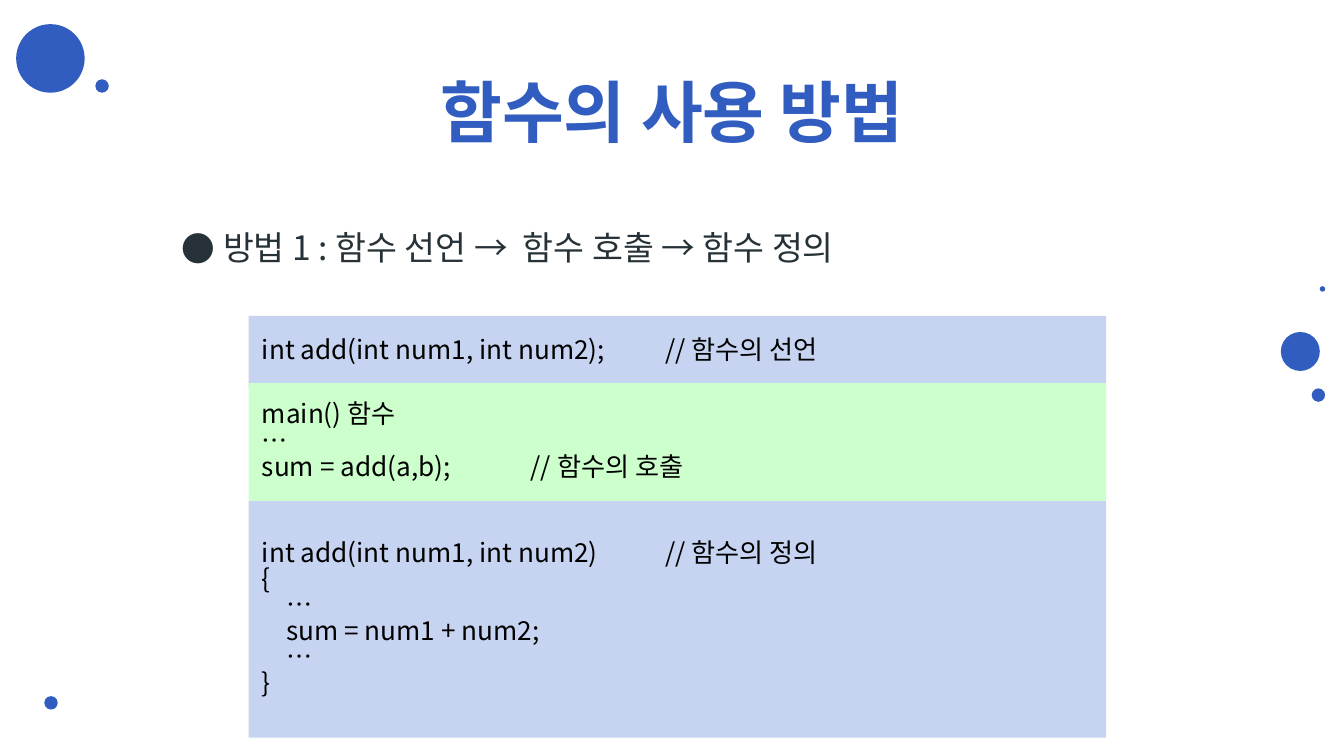
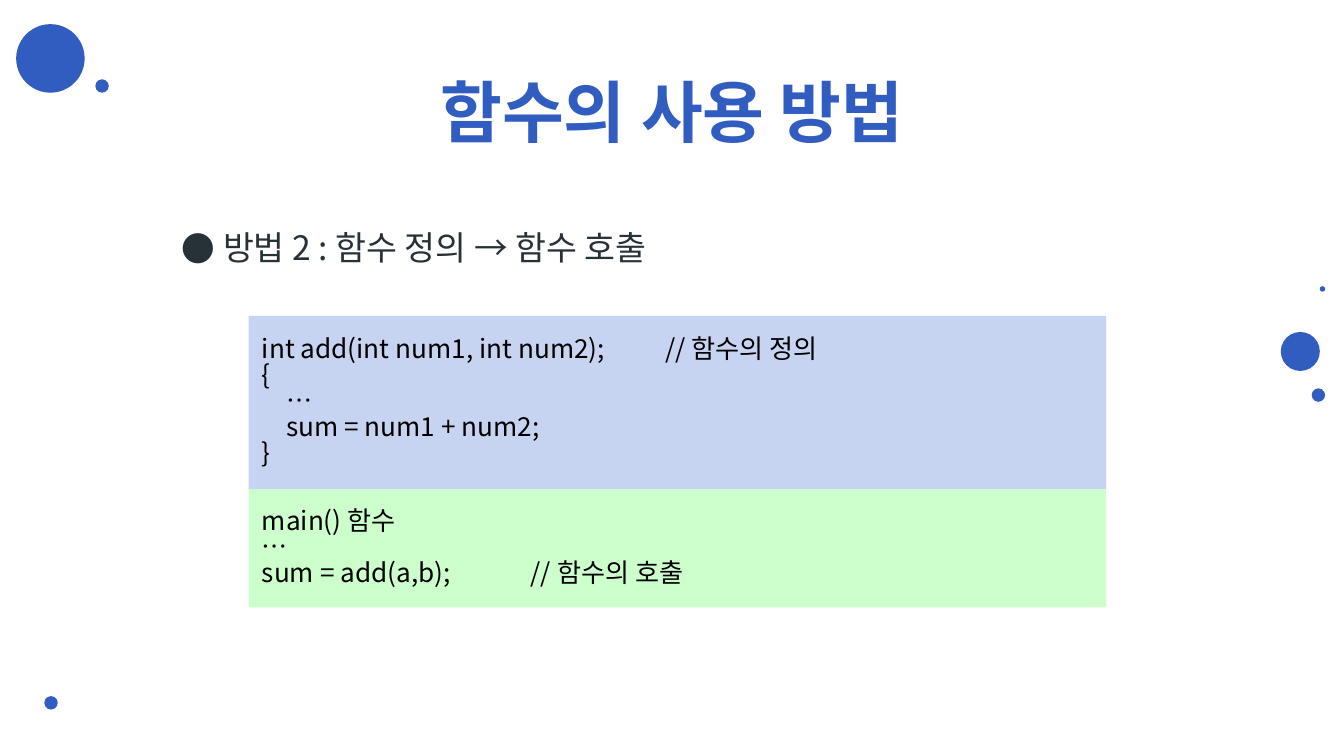
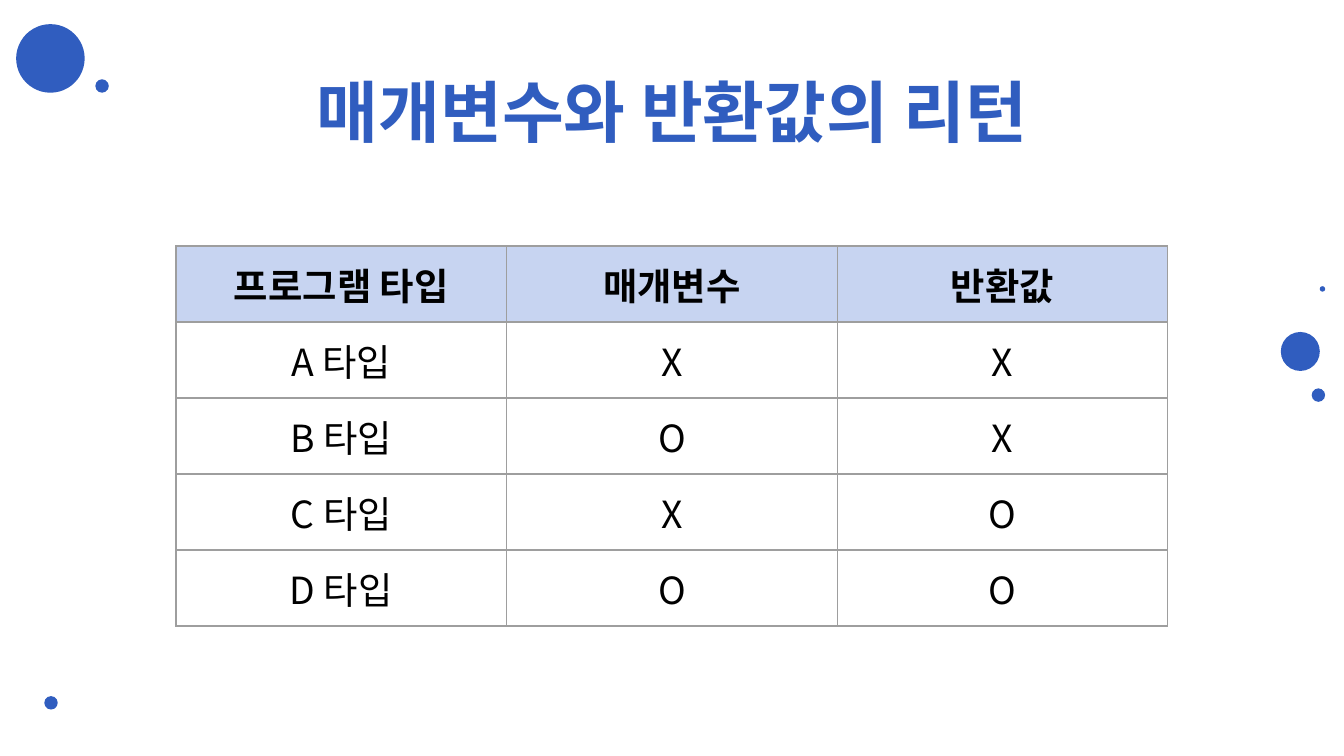
from dataclasses import dataclass

from lxml import etree
from pptx import Presentation
from pptx.dml.color import RGBColor
from pptx.enum.shapes import MSO_SHAPE
from pptx.enum.text import MSO_ANCHOR, MSO_AUTO_SIZE, PP_ALIGN
from pptx.oxml.ns import qn
from pptx.slide import Slide
from pptx.util import Inches, Length, Pt

FONT = "Noto Sans CJK KR"
COLORS = {
    "accent": "305DBF",
    "body": "263238",
    "code": "000000",
    "function": "C7D4F1",
    "main": "CCFFCC",
    "border": "9E9E9E",
}

# Square grid: the slide is 100 columns wide and 56.25 rows high
WIDTH, HEIGHT = Inches(10), Inches(5.625)
CODE_LEFT, CODE_WIDTH = 18.5, 63.8
TITLE_AREA = (7.5, 4.9, 85, 6.3)
BODY_AREA = (7.5, 16.2, 85, 35.2)
TABLE_AREA = (13.1, 18.3, 73.8, 28.3)


@dataclass(frozen=True)
class Dot:
    column: float
    row: float
    size: float


@dataclass(frozen=True)
class CodeBlock:
    row: float
    rows: float
    color: str
    lines: tuple[str, ...]
    inner: range = range(0)  # lines inside the braces


@dataclass(frozen=True)
class Method:
    summary: str
    blocks: tuple[CodeBlock, ...]


DOTS = (
    Dot(1.2, 1.8, 5.1),
    Dot(7.1, 5.9, 1),
    Dot(95.3, 24.7, 2.9),
    Dot(97.6, 28.9, 1),
    Dot(98.2, 21.3, 0.4),
    Dot(3.3, 51.8, 1),
)
MAIN_LINES = ("main() 함수", "…", "sum = add(a,b);\t\t// 함수의 호출")
METHODS = (
    Method("방법 1 : 함수 선언 →  함수 호출 → 함수 정의", (
        CodeBlock(23.5, 5.3, "function", ("int add(int num1, int num2);\t// 함수의 선언",)),
        CodeBlock(28.5, 8.8, "main", MAIN_LINES),
        CodeBlock(37.3, 17.6, "function",
                  ("int add(int num1, int num2)\t// 함수의 정의", "{", "…",
                   "sum = num1 + num2;", "…", "}"), range(2, 5)),
    )),
    Method("방법 2 : 함수 정의 → 함수 호출", (
        CodeBlock(23.5, 12.9, "function",
                  ("int add(int num1, int num2);\t// 함수의 정의", "{", "…",
                   "sum = num1 + num2;", "}"), range(2, 4)),
        CodeBlock(36.4, 8.8, "main", MAIN_LINES),
    )),
)
TYPE_ROWS = (
    ("프로그램 타입", "매개변수", "반환값"),
    ("A 타입", "X", "X"),
    ("B 타입", "O", "X"),
    ("C 타입", "X", "O"),
    ("D 타입", "O", "O"),
)


def grid(*modules: float) -> list[Length]:
    return [Length(round(WIDTH * module / 100)) for module in modules]


def rgb(color: str) -> RGBColor:
    return RGBColor.from_string(COLORS[color])


def write(frame, *lines: str, size: float, color: str, bold: bool = False,
          align=PP_ALIGN.LEFT, spacing: float = 1.0) -> None:
    """Fill a text frame with one formatted paragraph per line."""
    for number, line in enumerate(lines):
        paragraph = frame.add_paragraph() if number else frame.paragraphs[0]
        paragraph.alignment = align
        paragraph.line_spacing = spacing
        paragraph.space_before = paragraph.space_after = Pt(0)
        run = paragraph.add_run()
        run.text = line
        run.font.size, run.font.bold = Pt(size), bold
        run.font.name, run.font.color.rgb = FONT, rgb(color)
        etree.SubElement(run.font._element, qn("a:ea"), typeface=FONT)


def place(placeholder, area: tuple[float, ...]):
    placeholder.left, placeholder.top, placeholder.width, placeholder.height = grid(*area)
    frame = placeholder.text_frame
    frame.auto_size, frame.word_wrap = MSO_AUTO_SIZE.NONE, True
    frame.vertical_anchor = MSO_ANCHOR.TOP
    frame.margin_left = frame.margin_right = Inches(0.1)
    frame.margin_top = frame.margin_bottom = Inches(0.1)
    return frame


def indent(paragraph, margin: float, hanging: float = 0) -> None:
    properties = paragraph._p.get_or_add_pPr()
    properties.set("marL", str(Inches(margin)))
    properties.set("indent", str(Inches(-hanging)))


def add_bullet(paragraph) -> None:
    paragraph.level = 1
    indent(paragraph, 0.81, 0.31)
    properties = paragraph._p.get_or_add_pPr()
    bullet_color = etree.SubElement(properties, qn("a:buClr"))
    etree.SubElement(bullet_color, qn("a:srgbClr"), val=COLORS["body"])
    etree.SubElement(properties, qn("a:buFont"), typeface=FONT)
    etree.SubElement(properties, qn("a:buChar"), char="●")


def add_block(slide: Slide, kind: MSO_SHAPE, area: tuple[float, ...], color: str):
    block = slide.shapes.add_shape(kind, *grid(*area))
    block.shadow.inherit = False
    block.fill.solid()
    block.fill.fore_color.rgb = rgb(color)
    block.line.fill.background()
    return block


def start_slide(deck, layout: int, title: str) -> Slide:
    slide = deck.slides.add_slide(deck.slide_layouts[layout])
    for dot in DOTS:
        add_block(slide, MSO_SHAPE.OVAL, (dot.column, dot.row, dot.size, dot.size), "accent")
    write(place(slide.shapes.title, TITLE_AREA), title, size=36, color="accent",
          bold=True, align=PP_ALIGN.CENTER, spacing=0.9)
    return slide


def add_method_slide(deck, method: Method) -> None:
    slide = start_slide(deck, 1, "함수의 사용 방법")
    summary = place(slide.placeholders[1], BODY_AREA)
    write(summary, method.summary, size=18, color="body", spacing=0.9)
    add_bullet(summary.paragraphs[0])
    for code in method.blocks:
        area = (CODE_LEFT, code.row, CODE_WIDTH, code.rows)
        frame = add_block(slide, MSO_SHAPE.RECTANGLE, area, code.color).text_frame
        frame.word_wrap, frame.vertical_anchor = True, MSO_ANCHOR.MIDDLE
        write(frame, *code.lines, size=14, color="code", spacing=0.83)
        for number in code.inner:
            indent(frame.paragraphs[number], 0.18)


def add_borders(cell) -> None:
    properties = cell._tc.get_or_add_tcPr()
    for position, side in enumerate(("lnL", "lnR", "lnT", "lnB")):
        line = etree.Element(qn(f"a:{side}"), w=str(Pt(0.75)))
        fill = etree.SubElement(line, qn("a:solidFill"))
        etree.SubElement(fill, qn("a:srgbClr"), val=COLORS["border"])
        properties.insert(position, line)


def add_type_slide(deck) -> None:
    slide = start_slide(deck, 5, "매개변수와 반환값의 리턴")
    types = slide.shapes.add_table(len(TYPE_ROWS), len(TYPE_ROWS[0]), *grid(*TABLE_AREA)).table
    types.horz_banding = False
    for row, entries in enumerate(TYPE_ROWS):
        for column, entry in enumerate(entries):
            cell = types.cell(row, column)
            cell.vertical_anchor = MSO_ANCHOR.MIDDLE
            if row == 0:
                cell.fill.solid()
                cell.fill.fore_color.rgb = rgb("function")
            else:
                cell.fill.background()
            add_borders(cell)
            write(cell.text_frame, entry, size=20, color="code", bold=row == 0,
                  align=PP_ALIGN.CENTER)


def main() -> None:
    deck = Presentation()
    deck.slide_width, deck.slide_height = WIDTH, HEIGHT
    for method in METHODS:
        add_method_slide(deck, method)
    add_type_slide(deck)
    deck.save("out.pptx")


if __name__ == "__main__":
    main()
